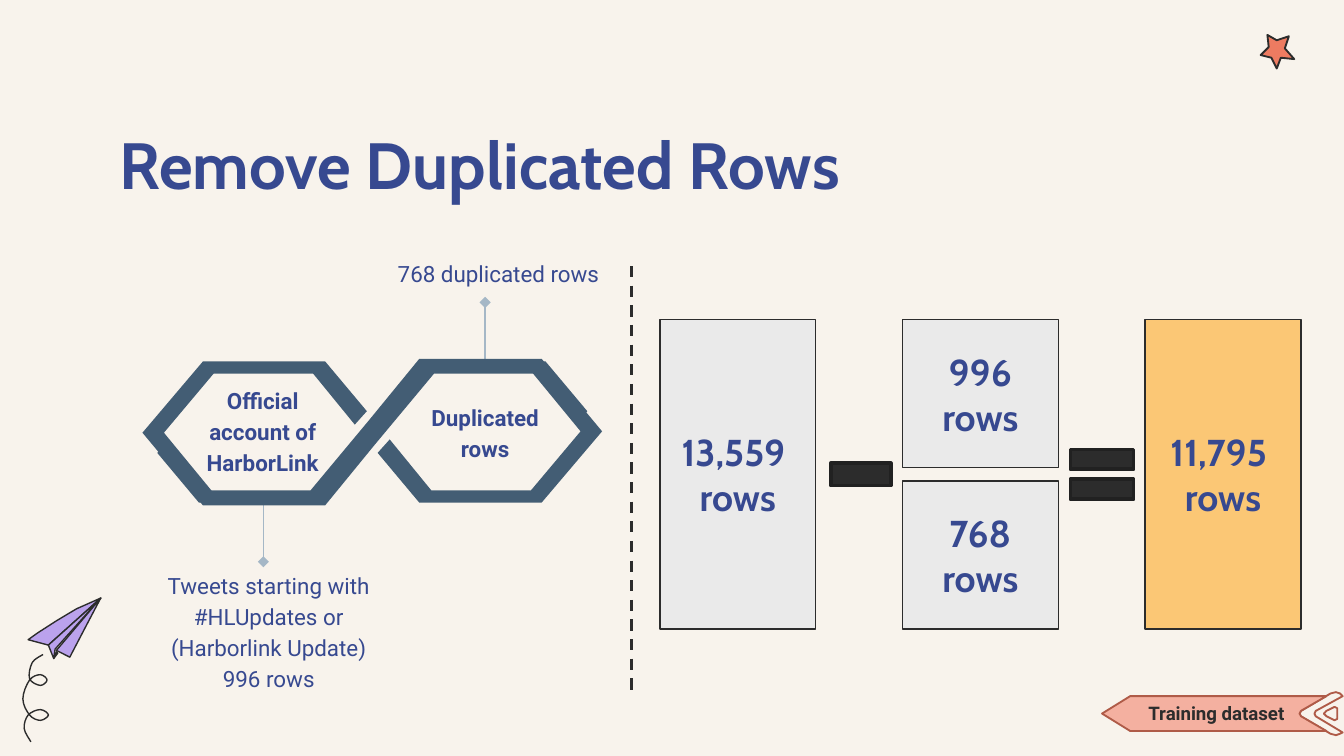
"""Builds the slide on removing duplicated rows from the training dataset."""
from lxml.etree import SubElement
from pptx import Presentation
from pptx.dml.color import RGBColor
from pptx.enum.dml import MSO_LINE
from pptx.enum.shapes import MSO_CONNECTOR, MSO_SHAPE
from pptx.enum.text import MSO_ANCHOR, MSO_AUTO_SIZE, PP_ALIGN
from pptx.oxml.ns import qn
from pptx.util import Inches, Pt

CREAM = RGBColor(0xF8, 0xF3, 0xEC)
INK = RGBColor(0x2C, 0x2C, 0x2C)
BLACK = RGBColor(0x21, 0x21, 0x21)
BLUE = RGBColor(0x37, 0x49, 0x90)
SLATE = RGBColor(0x43, 0x5D, 0x74)
MIST = RGBColor(0xA5, 0xB7, 0xC6)
GREY = RGBColor(0xEA, 0xEA, 0xEA)
AMBER = RGBColor(0xFB, 0xC7, 0x75)
CORAL = RGBColor(0xED, 0x7B, 0x61)
LILAC = RGBColor(0xBB, 0xA2, 0xED)
PINK = RGBColor(0xF4, 0xB0, 0xA0)
RUST = RGBColor(0xAF, 0x5B, 0x48)

W = Inches(10)
H = W * 9 // 16
COL = W // 10


def polygon(points, fill=None, line=None, width=0.75):
    """Draw an outline through grid points, closed when it has a fill."""
    dots = [(int(x * COL), int(y * COL)) for x, y in points]
    fb = s.shapes.build_freeform(*dots[0])
    fb.add_line_segments(dots[1:], close=fill is not None)
    sp = fb.convert_to_shape()
    sp.shadow.inherit = False
    if fill is None:
        sp.fill.background()
    else:
        sp.fill.solid()
        sp.fill.fore_color.rgb = fill
    if line is None:
        sp.line.fill.background()
    else:
        sp.line.color.rgb = line
        sp.line.width = Pt(width)


def write(tf, lines, font, size, color=BLUE, bold=True, align=PP_ALIGN.CENTER, spaced=False):
    """Fill a text frame with one paragraph for each line."""
    tf.word_wrap = True
    tf.auto_size = MSO_AUTO_SIZE.NONE
    for i, line in enumerate(lines):
        p = tf.add_paragraph() if i else tf.paragraphs[0]
        p.alignment = align
        if spaced:
            p.line_spacing = 1.15
            p.space_before = p.space_after = Pt(3)
        r = p.add_run()
        r.text = line
        r.font.name, r.font.size, r.font.bold = font, Pt(size), bold
        r.font.color.rgb = color


prs = Presentation()
prs.slide_width, prs.slide_height = W, H
s = prs.slides.add_slide(prs.slide_layouts[5])
s.background.fill.solid()
s.background.fill.fore_color.rgb = CREAM

polygon([(9.38, 0.41), (9.44, 0.35), (9.43, 0.26), (9.5, 0.3), (9.59, 0.27),
         (9.56, 0.36), (9.63, 0.44), (9.53, 0.43), (9.5, 0.51), (9.46, 0.43)], CORAL, INK, 1)

tip = (0.75, 4.45)
for wing in ([(0.21, 4.76), (0.28, 4.71), (0.42, 4.62), (0.57, 4.53), tip, (0.36, 4.8)],
             [tip, (0.41, 4.83), (0.4, 4.9), (0.36, 4.8)],
             [(0.42, 4.85), (0.43, 4.86), (0.4, 4.9)],
             [tip, (0.64, 4.66), (0.52, 4.89), (0.42, 4.84)]):
    polygon(wing, LILAC, INK)

knots = [(0.32, 4.87), (0.24, 4.93), (0.22, 5.05), (0.3, 5.1), (0.35, 5.06), (0.3, 5.02),
         (0.22, 5.06), (0.17, 5.2), (0.22, 5.32), (0.3, 5.36), (0.36, 5.32), (0.3, 5.28),
         (0.21, 5.32), (0.18, 5.42), (0.23, 5.52)]
ends = [knots[0]] + knots + [knots[-1]]
trail = [knots[0]]
for a, b, c, d in zip(ends, ends[1:], ends[2:], ends[3:]):
    for t in (0.25, 0.5, 0.75, 1):
        trail.append(tuple(
            q + t * (r - o) / 2 + t**2 * (2 * o - 5 * q + 4 * r - e) / 2
            + t**3 * (3 * q - o - 3 * r + e) / 2
            for o, q, r, e in zip(a, b, c, d)))
polygon(trail, line=INK)

title = s.shapes.title
title.left, title.top = int(0.79 * COL), int(0.82 * COL)
title.width, title.height = int(8.43 * COL), int(0.63 * COL)
tf = title.text_frame
tf.margin_left = tf.margin_right = tf.margin_top = tf.margin_bottom = COL // 10
tf.vertical_anchor = MSO_ANCHOR.TOP
write(tf, ["Remove Duplicated Rows"], "Cabin", 35, align=PP_ALIGN.LEFT)

for x, y1, y2, color, width, dashed in ((1.96, 3.69, 4.18, MIST, 0.75, False),
                                        (3.61, 2.74, 2.25, MIST, 0.75, False),
                                        (4.7, 1.98, 5.15, INK, 1.5, True)):
    cn = s.shapes.add_connector(MSO_CONNECTOR.STRAIGHT, int(x * COL), int(y1 * COL),
                                int(x * COL), int(y2 * COL))
    cn.line.color.rgb = color
    cn.line.width = Pt(width)
    if dashed:
        cn.line.dash_style = MSO_LINE.DASH
    else:
        SubElement(cn.line._get_or_add_ln(), qn("a:tailEnd"), type="diamond")
    SubElement(cn._element.spPr, qn("a:effectLst"))

ribbon = [(1.51, 2.69), (1.06, 3.22), (1.51, 3.76), (2.42, 3.76), (2.78, 3.32), (3.23, 2.78),
          (3.98, 2.78), (4.29, 3.16), (4.37, 3.06), (4.06, 2.69), (3.15, 2.69), (2.7, 3.22),
          (2.33, 3.67), (1.59, 3.67), (1.22, 3.22), (1.59, 2.78), (2.33, 2.78), (2.64, 3.16),
          (2.73, 3.06), (2.42, 2.69)]
polygon(ribbon, SLATE)
polygon([(5.54 - x, 6.43 - y) for x, y in ribbon], SLATE)

tag_top, tag_mid, tag_end = 5.18, 5.31, 5.44
polygon([(9.94, 5.15), (9.97, 5.16), (9.99, 5.18), (9.79, 5.29), (9.78, tag_mid), (9.79, 5.33),
         (9.99, 5.45), (9.97, 5.46), (9.94, 5.47), (9.9, 5.46), (9.68, 5.33), (9.67, tag_mid),
         (9.68, 5.29), (9.9, 5.16)], CREAM, RUST, 1)
polygon([(9.93, 5.26), (9.95, 5.27), (9.95, 5.35), (9.93, 5.36), (9.87, 5.33),
         (9.85, tag_mid), (9.87, 5.29)], CREAM, RUST, 1)
polygon([(9.87, tag_top), (9.68, 5.29), (9.67, tag_mid), (9.68, 5.33), (9.87, tag_end),
         (8.41, tag_end), (8.2, tag_mid), (8.41, tag_top)], PINK, RUST, 1)

for x, y, w, h, text, size, color, bold, spaced in (
        (1.29, 2.8, 1.33, 0.78, "Official account of HarborLink", 12, BLUE, True, True),
        (3.07, 2.93, 1.08, 0.55, "Duplicated rows", 12, BLUE, True, True),
        (1.03, 4.18, 1.94, 1.01,
         "Tweets starting with #HLUpdates or (Harborlink Update) 996 rows", 12, BLUE, False, True),
        (2.73, 1.89, 1.96, 0.3, "768 duplicated rows", 12, BLUE, False, False),
        (8.36, 5.17, 1.38, 0.27, "Training dataset", 10, INK, True, False)):
    tb = s.shapes.add_textbox(int(x * COL), int(y * COL), int(w * COL), int(h * COL))
    write(tb.text_frame, [text], "Roboto", size, color, bold, spaced=spaced)

left, right, top, card, half, step = 4.91, 9.68, 2.38, 1.16, 1.1, 1.2
pitch = (right - card - left) / 2
full = step + half
for col, row, h, count, fill in ((0, 0, full, "13,559 ", GREY), (1, 0, half, "996", GREY),
                                 (1, 1, half, "768", GREY), (2, 0, full, "11,795 ", AMBER)):
    sp = s.shapes.add_shape(MSO_SHAPE.RECTANGLE, int((left + col * pitch) * COL),
                            int((top + row * step) * COL), int(card * COL), int(h * COL))
    sp.shadow.inherit = False
    sp.fill.solid()
    sp.fill.fore_color.rgb = fill
    sp.line.color.rgb = INK
    sp.line.width = Pt(0.75)
    sp.text_frame.vertical_anchor = MSO_ANCHOR.MIDDLE
    write(sp.text_frame, [count, "rows"], "Cabin", 20)

for kind, x, w, h in ((MSO_SHAPE.MATH_MINUS, 6.1, 0.61, 0.7),
                      (MSO_SHAPE.MATH_EQUAL, 7.88, 0.64, 0.63)):
    sp = s.shapes.add_shape(kind, int(x * COL), int((top + full / 2 - h / 2) * COL),
                            int(w * COL), int(h * COL))
    sp.shadow.inherit = False
    sp.fill.solid()
    sp.fill.fore_color.rgb = INK
    sp.line.color.rgb = BLACK
    sp.line.width = Pt(2)

prs.save("out.pptx")
